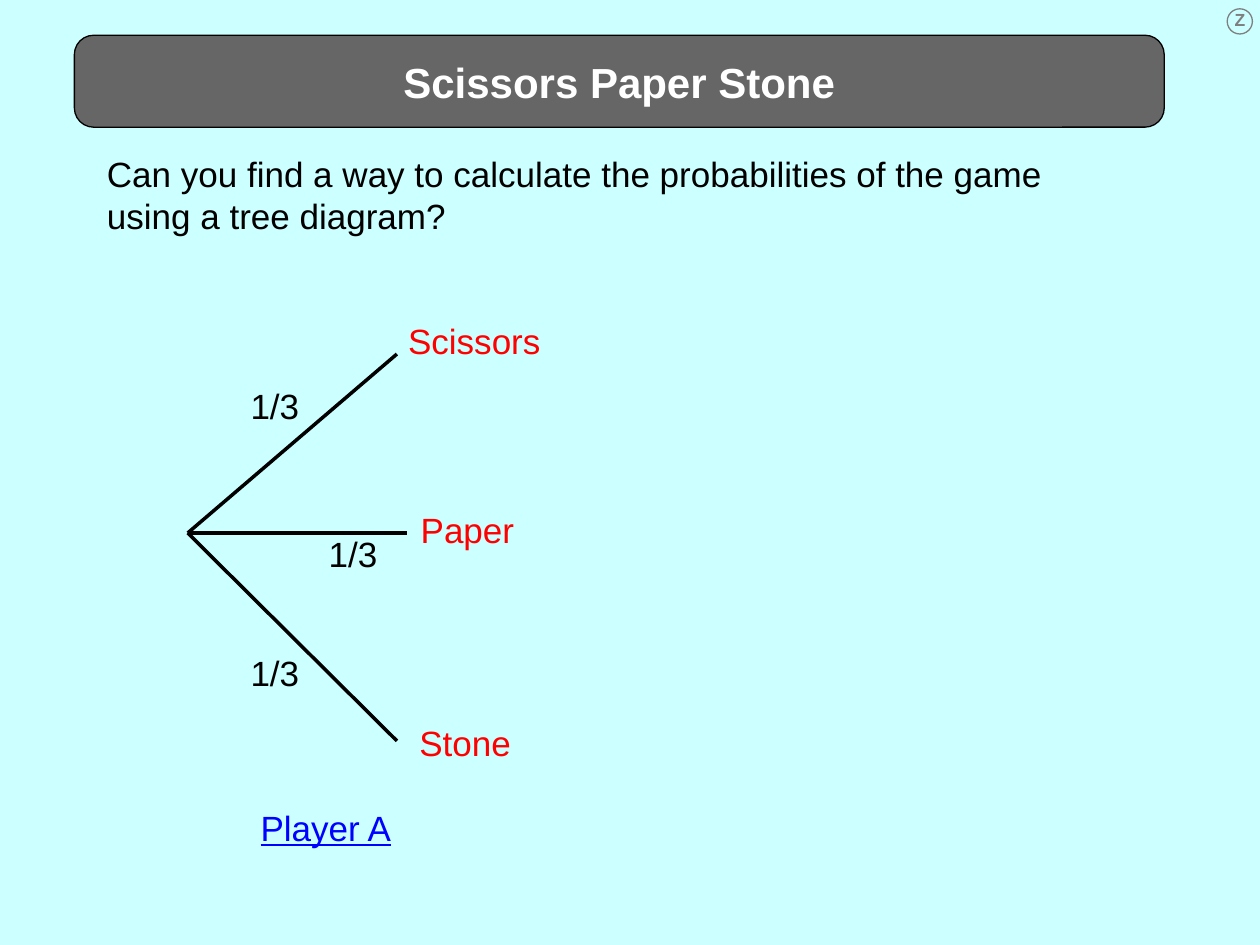
from lxml import etree
from pptx import Presentation
from pptx.dml.color import RGBColor
from pptx.enum.shapes import MSO_CONNECTOR, MSO_SHAPE
from pptx.enum.text import MSO_ANCHOR, MSO_AUTO_SIZE, PP_ALIGN
from pptx.oxml.ns import qn
from pptx.util import Inches, Pt

STRAIGHT = MSO_CONNECTOR.STRAIGHT
ROUNDED_RECTANGLE = MSO_SHAPE.ROUNDED_RECTANGLE
OVAL = MSO_SHAPE.OVAL
MIDDLE = MSO_ANCHOR.MIDDLE
FIT_TEXT = MSO_AUTO_SIZE.SHAPE_TO_FIT_TEXT
CENTER = PP_ALIGN.CENTER

PALE_CYAN = RGBColor(0xCC, 0xFF, 0xFF)
DARK_GRAY = RGBColor(0x66, 0x66, 0x66)
BADGE_GRAY = RGBColor(0x7F, 0x7F, 0x7F)
BLACK = RGBColor(0x00, 0x00, 0x00)
WHITE = RGBColor(0xFF, 0xFF, 0xFF)
RED = RGBColor(0xFF, 0x00, 0x00)
BLUE = RGBColor(0x00, 0x00, 0xFF)

BODY = {"name": "Arial", "size": Pt(20)}
TITLE = {"name": "Arial", "size": Pt(24), "bold": True}
PLAYER = {**BODY, "underline": True}
BADGE = {"name": "Arial", "size": Pt(10), "bold": True}


def write_text(shape, text, color, formats):
    paragraph = shape.text_frame.paragraphs[0]
    run = paragraph.add_run()
    run.text = text
    for name, value in formats.items():
        setattr(run.font, name, value)
    run.font.color.rgb = color
    return paragraph


presentation = Presentation()
presentation.slide_width = Inches(10)
presentation.slide_height = Inches(7.5)
slide = presentation.slides.add_slide(presentation.slide_layouts[6])
slide.background.fill.solid()
slide.background.fill.fore_color.rgb = PALE_CYAN

banner = slide.shapes.add_shape(
    ROUNDED_RECTANGLE, Inches(0.59), Inches(0.28), Inches(8.65), Inches(0.73)
)
banner.adjustments[0] = 0.21
banner.shadow.inherit = False
banner.fill.solid()
banner.fill.fore_color.rgb = DARK_GRAY
banner.line.color.rgb = BLACK
banner.line.width = Pt(0.75)
banner.text_frame.vertical_anchor = MIDDLE
write_text(banner, "Scissors Paper Stone", WHITE, TITLE).alignment = CENTER

root_x, root_y = 1.49, 4.23
for end_x, end_y in [(3.15, 2.81), (3.23, root_y), (3.15, 5.88)]:
    branch = slide.shapes.add_connector(
        STRAIGHT, Inches(root_x), Inches(root_y), Inches(end_x), Inches(end_y)
    )
    branch.line.color.rgb = BLACK
    branch.line.width = Pt(2)
    etree.SubElement(branch._element.spPr, qn("a:effectLst"))

question = "Can you find a way to calculate the probabilities of the game using a tree diagram?"
labels = [
    (question, 0.75, 1.16, 8.35, 0.77, BLACK, BODY),
    ("Scissors", 3.14, 2.49, 1.67, 0.44, RED, BODY),
    ("Paper", 3.24, 3.99, 1.92, 0.44, RED, BODY),
    ("Stone", 3.23, 5.68, 1.92, 0.44, RED, BODY),
    ("1/3", 1.89, 3, 1.67, 0.44, BLACK, BODY),
    ("1/3", 2.51, 4.18, 1.67, 0.44, BLACK, BODY),
    ("1/3", 1.89, 5.12, 1.67, 0.44, BLACK, BODY),
    ("Player A", 1.97, 6.35, 1.67, 0.44, BLUE, PLAYER),
    ("Z", 9.7, 0.02, 0.3, 0.27, BADGE_GRAY, BADGE),
]
for text, left, top, width, height, color, formats in labels:
    label = slide.shapes.add_textbox(
        Inches(left), Inches(top), Inches(width), Inches(height)
    )
    label.text_frame.word_wrap = True
    label.text_frame.auto_size = FIT_TEXT
    write_text(label, text, color, formats)

badge_ring = slide.shapes.add_shape(
    OVAL, Inches(9.74), Inches(0.07), Inches(0.2), Inches(0.2)
)
badge_ring.shadow.inherit = False
badge_ring.fill.background()
badge_ring.line.color.rgb = BADGE_GRAY
badge_ring.line.width = Pt(0.75)

presentation.save("out.pptx")
